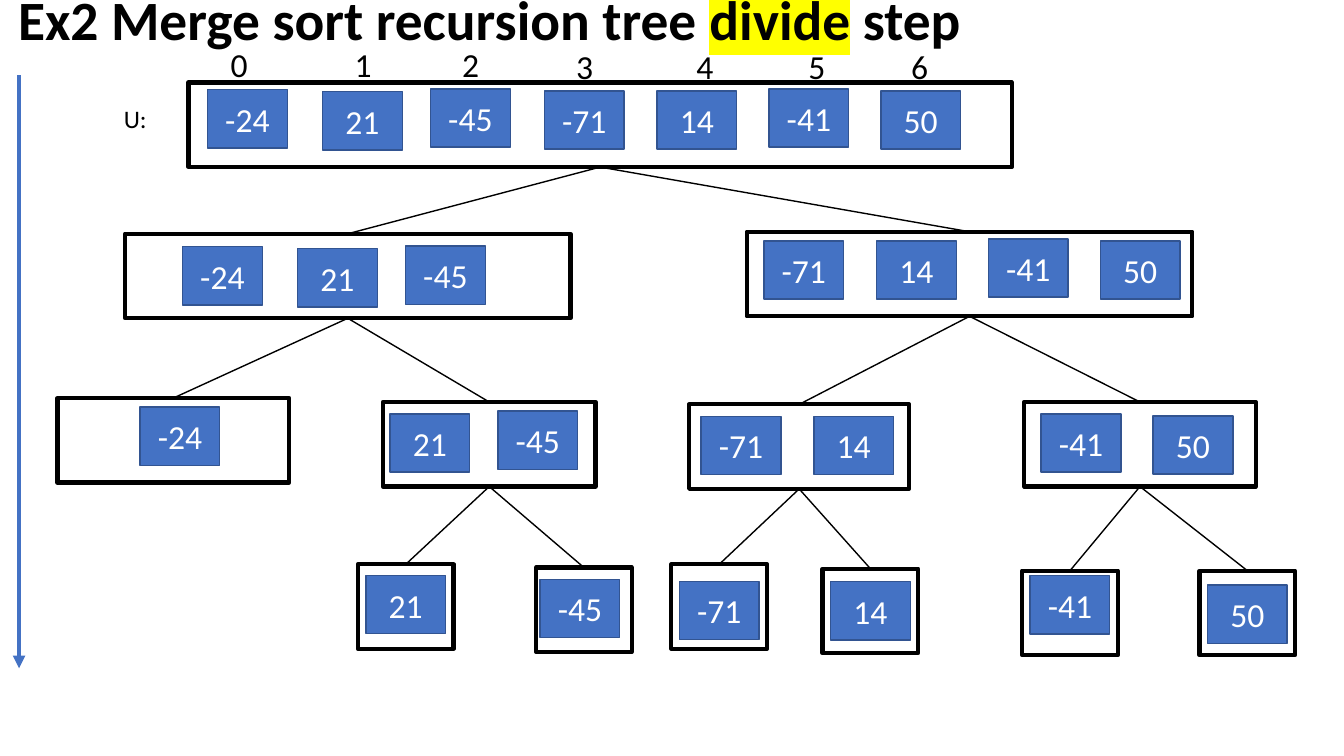
from lxml import etree
from pptx import Presentation
from pptx.dml.color import RGBColor
from pptx.enum.shapes import MSO_CONNECTOR, MSO_SHAPE
from pptx.enum.text import MSO_ANCHOR, MSO_AUTO_SIZE, PP_ALIGN
from pptx.oxml.ns import qn
from pptx.util import Cm, Pt

RECT, LINE = MSO_SHAPE.RECTANGLE, MSO_CONNECTOR.STRAIGHT
LEFT, MID = PP_ALIGN.LEFT, PP_ALIGN.CENTER
TOP, HALF = MSO_ANCHOR.TOP, MSO_ANCHOR.MIDDLE
NO_FIT = MSO_AUTO_SIZE.NONE

BLACK, WHITE, BLUE, EDGE = "000000", "FFFFFF", "4472C4", "325491"
VALUES = [-24, 21, -45, -71, 14, -41, 50]

# Left and top of each value's column; every node keeps this spacing
COLS = [(5.23, 2.26), (8.13, 2.31), (10.85, 2.24), (13.72, 2.29),
        (16.56, 2.29), (19.38, 2.24), (22.2, 2.29)]
MARKS = [(5.56, 0.99), (8.69, 0.99), (11.4, 0.97), (14.27, 1.02),
         (17.3, 1.04), (20.12, 1.04), (22.71, 1.02)]
TILE_W, TILE_H, NODE_H = 2.01, 1.47, 2.13

# Index range of a node: left, top, width, and inset of its first tile
NODES = {
    (0, 7): (4.75, 2.08, 20.75, 0.48, 0.18),
    (0, 3): (3.15, 5.89, 11.23, 1.45, 0.33),
    (3, 7): (18.82, 5.84, 11.23, 0.43, 0.23),
    (0, 1): (1.45, 10.03, 5.84, 2.08, 0.23),
    (1, 3): (9.65, 10.13, 5.36, 0.18, 0.3),
    (3, 5): (17.37, 10.19, 5.54, 0.3, 0.3),
    (5, 7): (25.81, 10.13, 5.84, 0.43, 0.3),
    (1, 2): (9.02, 14.22, 2.41, 0.2, 0.28),
    (2, 3): (13.51, 14.3, 2.41, 0.1, 0.3),
    (3, 4): (16.92, 14.22, 2.41, 0.2, 0.43),
    (4, 5): (20.73, 14.33, 2.41, 0.2, 0.33),
    (5, 6): (25.76, 14.38, 2.41, 0.2, 0.13),
    (6, 7): (30.23, 14.38, 2.41, 0.2, 0.36),
}


def paint(part, color):
    part.solid()
    part.fore_color.rgb = RGBColor.from_string(color)


def style(item, **vals):
    for name, val in vals.items():
        setattr(item, name, val)


def write(frame, texts, size, color=BLACK, bold=False, align=LEFT, anchor=TOP):
    style(frame, word_wrap=True, auto_size=NO_FIT, vertical_anchor=anchor)
    para = frame.paragraphs[0]
    para.alignment = align
    for text in texts:
        run = para.add_run()
        run.text = text
        style(run.font, name="Calibri", size=Pt(size), bold=bold)
        paint(run.font.fill, color)
    return para


def label(slide, text, box, size):
    shape = slide.shapes.add_textbox(*map(Cm, box))
    write(shape.text_frame, [text], size)


def rect(slide, box, edge, width, fill=None):
    shape = slide.shapes.add_shape(RECT, *map(Cm, box))
    shape.shadow.inherit = False
    if fill:
        paint(shape.fill, fill)
    else:
        shape.fill.background()
    paint(shape.line.fill, edge)
    shape.line.width = Pt(width)
    return shape


def link(slide, start, end, color=BLACK, width=1, head=False):
    line = slide.shapes.add_connector(LINE, *map(Cm, start + end))
    paint(line.line.fill, color)
    line.line.width = Pt(width)
    if head:
        tail = etree.SubElement(line.line.fill._xPr, qn("a:tailEnd"))
        tail.set("type", "triangle")
    etree.SubElement(line._element.spPr, qn("a:effectLst"))


def title(slide, box):
    shape = slide.shapes.title
    left, top, width, height = map(Cm, box)
    style(shape, left=left, top=top, width=width, height=height)
    texts = ["Ex2 Merge sort recursion tree ", "divide", " step"]
    para = write(shape.text_frame, texts, 39.6, bold=True, anchor=HALF)
    para.line_spacing = 0.9
    # Highlight the middle word
    latin = para.runs[1].font._element.find(qn("a:latin"))
    mark = etree.Element(qn("a:highlight"))
    etree.SubElement(mark, qn("a:srgbClr")).set("val", "FFFF00")
    latin.addprevious(mark)


def node(slide, low, high):
    """Draw the node for VALUES[low:high], then its two halves."""
    left, top, width, pad_x, pad_y = NODES[low, high]
    rect(slide, (left, top, width, NODE_H), BLACK, 3)

    # Value tiles
    col_x, col_y = COLS[low]
    for (x, y), value in zip(COLS[low:high], VALUES[low:high]):
        box = (left + pad_x + x - col_x, top + pad_y + y - col_y, TILE_W, TILE_H)
        tile = rect(slide, box, EDGE, 1, BLUE)
        write(tile.text_frame, [str(value)], 24, WHITE, align=MID, anchor=HALF)

    # Halves, joined from bottom centre to top centre
    if high - low > 1:
        cut = (low + high) // 2
        for half in ((low, cut), (cut, high)):
            x, y, wide = NODES[half][:3]
            link(slide, (left + width / 2, top + NODE_H), (x + wide / 2, y))
            node(slide, *half)


def main():
    deck = Presentation()
    style(deck, slide_width=Cm(33.87), slide_height=Cm(19.05))
    slide = deck.slides.add_slide(deck.slide_layouts[5])
    title(slide, (0.2, -0.05, 26.49, 1.22))

    # Array name and indices
    label(slide, "U:", (2.87, 2.49, 1.63, 1.02), 18)
    for index, (x, y) in enumerate(MARKS):
        label(slide, str(index), (x, y, 0.53, 1.27), 24)

    # Recursion tree and direction arrow
    node(slide, 0, len(VALUES))
    link(slide, (0.48, 1.9), (0.48, 16.84), BLUE, 3, head=True)
    deck.save("out.pptx")


if __name__ == "__main__":
    main()
